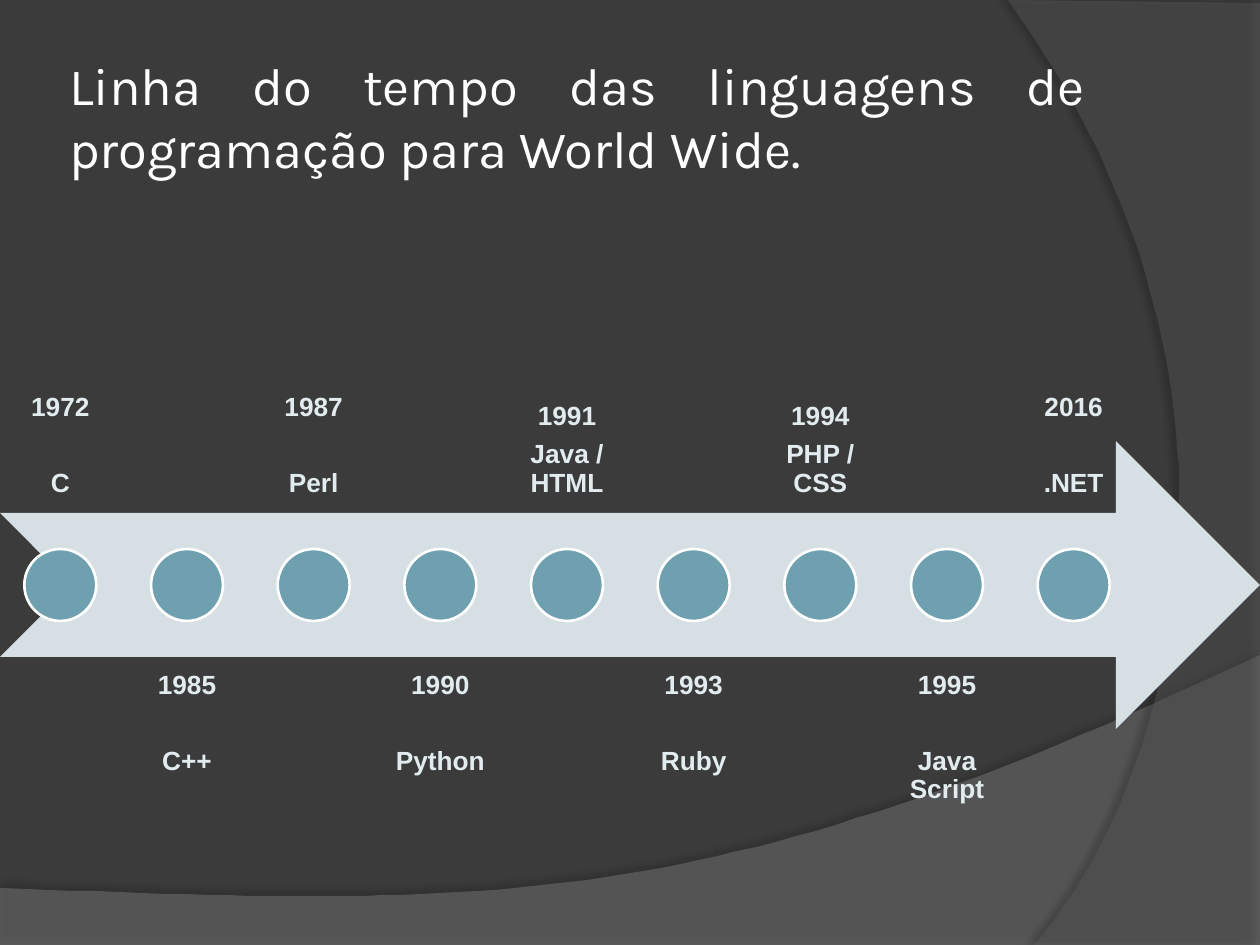
from lxml.etree import SubElement
from pptx import Presentation
from pptx.dml.color import RGBColor
from pptx.enum.shapes import MSO_SHAPE as Shape
from pptx.enum.text import MSO_ANCHOR as Anchor, MSO_AUTO_SIZE as AutoSize, PP_ALIGN as Align
from pptx.oxml.ns import qn
from pptx.util import Pt

SCALE = 914400 / 126
WIDTH, HEIGHT = 1260, 945

BACKGROUND = RGBColor(0x3B, 0x3B, 0x3B)
WAVE = RGBColor(0x7F, 0x7F, 0x7F)
ARC = RGBColor(0x5E, 0x5E, 0x5E)
WHITE = RGBColor(0xFF, 0xFF, 0xFF)
ARROW = RGBColor(0xD5, 0xDF, 0xE4)
MARKER = RGBColor(0x6E, 0xA0, 0xB0)
LABEL = RGBColor(0xE2, 0xEC, 0xEF)

TITLE = "Linha do tempo das linguagens de programação para World Wide."
MILESTONES = [
    ("1972", "C"),
    ("1985", "C++"),
    ("1987", "Perl"),
    ("1990", "Python"),
    ("1991", "Java / HTML"),
    ("1993", "Ruby"),
    ("1994", "PHP / CSS"),
    ("1995", "Java Script"),
    ("2016", ".NET"),
]
COMPACT_YEARS = {"1991", "1994"}


def px(length):
    return round(length * SCALE)


def place(box):
    return [px(length) for length in box]


def curve(start, control_1, control_2, end, steps=60):
    points = []
    for step in range(1, steps + 1):
        t = step / steps
        weights = ((1 - t) ** 3, 3 * t * (1 - t) ** 2, 3 * t * t * (1 - t), t ** 3)
        corners = (start, control_1, control_2, end)
        points.append(tuple(sum(w * c[axis] for w, c in zip(weights, corners)) for axis in (0, 1)))
    return points


def add_swoosh(slide, box, points, color, opacity, shadow_opacity, distance, direction):
    left, top = box[:2]
    outline = [(left + x, top + y) for x, y in points]
    builder = slide.shapes.build_freeform(*outline[0], scale=SCALE)
    builder.add_line_segments(outline[1:], close=True)
    swoosh = builder.convert_to_shape()
    swoosh.shadow.inherit = False
    swoosh.fill.solid()
    swoosh.fill.fore_color.rgb = color
    swoosh.line.fill.background()
    properties = swoosh._element.spPr
    fill_color = properties.find(qn("a:solidFill")).find(qn("a:srgbClr"))
    SubElement(fill_color, qn("a:alpha"), val=str(opacity * 1000))
    shadow = SubElement(
        properties.find(qn("a:effectLst")), qn("a:outerShdw"),
        blurRad=str(Pt(4)), dist=str(Pt(distance)), dir=str(direction * 60000),
        algn="ctr", rotWithShape="0",
    )
    shadow_color = SubElement(shadow, qn("a:srgbClr"), val="000000")
    SubElement(shadow_color, qn("a:alpha"), val=str(shadow_opacity * 1000))


def add_wave(slide, box):
    width, height = box[2:]
    edge = curve((width, 0), (704, 263), (493, 251), (0, 233))
    points = [(0, 233), (0, height), (width, height), (width, 0)] + edge[:-1]
    add_swoosh(slide, box, points, WAVE, 45, 35, 3.5, 270)


def add_arc(slide, box):
    width, height = box[2:]
    edge = curve((26, height), (170, 780), (275, 378), (0, 0))
    points = [(width, 3), (width, height), (26, height)] + edge
    add_swoosh(slide, box, points, ARC, 40, 45, 4, 180)


def add_title(slide, box):
    title = slide.shapes.title
    slide.shapes._spTree.append(title._element)
    title.left, title.top, title.width, title.height = place(box)
    frame = title.text_frame
    frame.text = TITLE
    frame.word_wrap = True
    frame.auto_size = AutoSize.NONE
    frame.vertical_anchor = Anchor.MIDDLE
    frame.margin_left = frame.margin_right = frame.margin_top = frame.margin_bottom = px(6)
    heading = frame.paragraphs[0]
    heading.alignment = Align.JUSTIFY
    heading.font.name = "Karla"
    heading.font.size = Pt(30)
    heading.font.color.rgb = WHITE


def add_label(parts, box, year, language, anchor):
    frame = parts.add_textbox(*place(box)).text_frame
    frame.word_wrap = True
    frame.vertical_anchor = anchor
    frame.margin_left = frame.margin_right = frame.margin_top = frame.margin_bottom = px(15)
    frame.text = f"{year}\n{language}"
    for line in frame.paragraphs:
        line.alignment = Align.CENTER
        line.line_spacing = 0.9
        line.font.name = "Arial"
        line.font.size = Pt(15)
        line.font.bold = True
        line.font.color.rgb = LABEL
    frame.paragraphs[0].space_after = Pt(5.5 if year in COMPACT_YEARS else 27)


def add_marker(parts, box):
    marker = parts.add_shape(Shape.OVAL, *place(box))
    marker.shadow.inherit = False
    marker.fill.solid()
    marker.fill.fore_color.rgb = MARKER
    marker.line.color.rgb = WHITE
    marker.line.width = Pt(1.5)


def add_timeline(slide, box):
    left, top, width, height = box
    band = height / 5 * 2
    column_width = width * 0.9 / (len(MILESTONES) + 0.05 * (len(MILESTONES) - 1))
    marker_size = band / 4
    marker_top = top + (height - marker_size) / 2

    parts = slide.shapes.add_group_shape().shapes
    arrow = parts.add_shape(Shape.NOTCHED_RIGHT_ARROW, *place((left, top + band * 0.75, width, band)))
    arrow.shadow.inherit = False
    arrow.fill.solid()
    arrow.fill.fore_color.rgb = ARROW
    arrow.line.fill.background()

    for index, (year, language) in enumerate(MILESTONES):
        column_left = left + index * column_width * 1.05
        above = index % 2 == 0
        label_top = top if above else top + height - band
        anchor = Anchor.BOTTOM if above else Anchor.TOP
        add_label(parts, (column_left, label_top, column_width, band), year, language, anchor)
        marker_left = column_left + (column_width - marker_size) / 2
        add_marker(parts, (marker_left, marker_top, marker_size, marker_size))


def main():
    deck = Presentation()
    deck.slide_width, deck.slide_height = px(WIDTH), px(HEIGHT)
    slide = deck.slides.add_slide(deck.slide_layouts[5])
    slide.background.fill.solid()
    slide.background.fill.fore_color.rgb = BACKGROUND
    add_wave(slide, (0, 655, WIDTH, 291))
    add_arc(slide, (1008, 0, 252, HEIGHT))
    add_title(slide, (63, 38, 1029, 157))
    add_timeline(slide, (0, 225, WIDTH, 720))
    deck.save("out.pptx")


if __name__ == "__main__":
    main()
